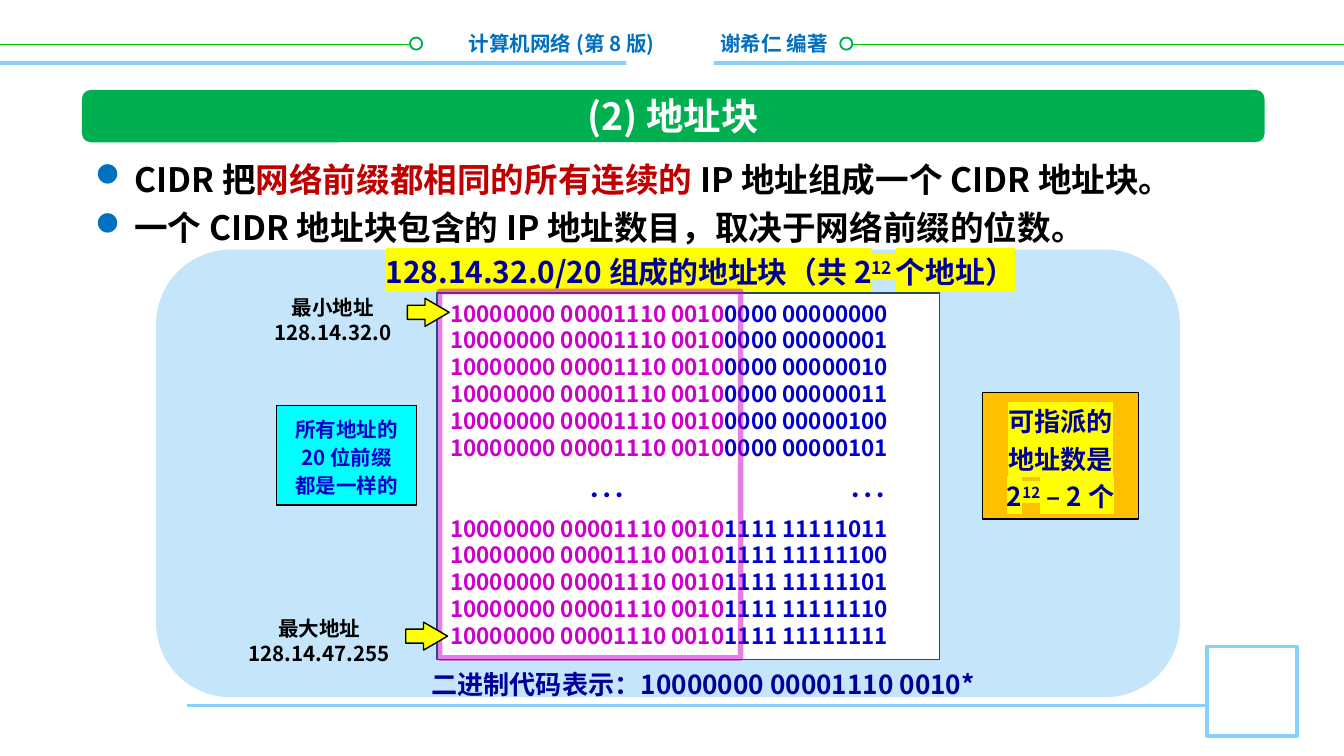
from lxml import etree
from pptx import Presentation
from pptx import util as u
from pptx.dml.color import RGBColor
from pptx.enum import shapes, text
from pptx.oxml import ns

FONT = "Noto Sans CJK SC"
COLORS = {
    "white": "FFFFFF", "black": "000000", "sky": "85D1F7", "lime": "00CC00",
    "green": "00B050", "blue": "0070C0", "red": "C00000", "panel": "C5E5FB",
    "navy": "000099", "host": "0000CC", "prefix": "CC00CC", "border": "1F497D",
    "cyan": "00FFFF", "yellow": "FFFF00", "orange": "FFC000",
}
KINDS = shapes.MSO_SHAPE
LEFT, CENTER, RIGHT = text.PP_ALIGN.LEFT, text.PP_ALIGN.CENTER, text.PP_ALIGN.RIGHT
PREFIX = "10000000 00001110 0010"
FIRST_HOSTS = ["0000 00000000", "0000 00000001", "0000 00000010",
               "0000 00000011", "0000 00000100", "0000 00000101"]
LAST_HOSTS = ["1111 11111011", "1111 11111100", "1111 11111101",
              "1111 11111110", "1111 11111111"]


def rgb(name):
    return RGBColor.from_string(COLORS[name])


def cm(*lengths):
    return [u.Cm(length) for length in lengths]


def inside(box, left, top, width, height):
    """Turn a place relative to box into a place on the slide."""
    return box[0] + left, box[1] + top, width, height


def sub(parent, tag, **attributes):
    return etree.SubElement(parent, ns.qn(tag), attributes)


def add_block(parts, kind, box, fill=None, line=None, width=0.75):
    block = parts.add_shape(kind, *cm(*box))
    block.shadow.inherit = False
    if fill:
        block.fill.solid()
        block.fill.fore_color.rgb = rgb(fill)
    else:
        block.fill.background()
    if line:
        block.line.color.rgb = rgb(line)
        block.line.width = u.Pt(width)
    else:
        block.line.fill.background()
    return block


def add_rule(parts, start, end, y, color, width):
    rule = parts.add_connector(shapes.MSO_CONNECTOR.STRAIGHT, *cm(start, y, end, y))
    rule.line.color.rgb = rgb(color)
    rule.line.width = u.Pt(width)
    sub(rule._element.spPr, "a:effectLst")


def add_run(paragraph, words, size, color, bold=True, highlight=None, raised=False):
    run = paragraph.add_run()
    run.text = words
    run.font.size = u.Pt(size)
    run.font.bold = bold
    run.font.color.rgb = rgb(color)
    run.font.name = FONT
    props = run._r.get_or_add_rPr()
    sub(props, "a:ea", typeface=FONT)
    if raised:
        props.set("baseline", "30000")
    if highlight:
        marker = etree.Element(ns.qn("a:highlight"))
        sub(marker, "a:srgbClr", val=COLORS[highlight])
        props.find(ns.qn("a:solidFill")).addnext(marker)


def write(shape, paragraphs, size, align=LEFT, pitch=None, wrap=True,
          anchor=text.MSO_ANCHOR.TOP, **style):
    """Fill shape with paragraphs, each a list of (words, color, extra style)."""
    frame = shape.text_frame
    frame.word_wrap = wrap
    frame.vertical_anchor = anchor
    for index, runs in enumerate(paragraphs):
        paragraph = frame.paragraphs[0] if index == 0 else frame.add_paragraph()
        paragraph.alignment = align
        if pitch:
            paragraph.line_spacing = u.Pt(pitch)
        for words, color, *extra in runs:
            add_run(paragraph, words, size, color, **style, **(extra[0] if extra else {}))
    return frame


def add_words(parts, box, paragraphs, size, **layout):
    return write(parts.add_textbox(*cm(*box)), paragraphs, size, **layout)


def add_footer(parts, box):
    left, top, width, height = box
    add_rule(parts, left, left + width - height, top + 1.12, "sky", 1.5)
    add_block(parts, KINDS.RECTANGLE, (left + width - height, top, height, height),
              "white", "sky", 2)


def add_header(parts, box):
    left, top, width, _ = box
    add_rule(parts, left, left + width, top + 1.19, "sky", 2)
    add_block(parts, KINDS.RECTANGLE, inside(box, 11.84, 0.36, 1.65, 1.3), "white")
    credits = [(13.36, 2.95, "谢希仁 编著", LEFT),
               (7.87, 4.75, "计算机网络 (第 8 版)", RIGHT)]
    for x, room, words, align in credits:
        add_words(parts, inside(box, x, 0.46, room, 0.74), [[(words, "blue")]], 11,
                  align=align, pitch=13.4)
    for start, end, ring in [(0, 7.87, 7.75), (15.88, width, 15.88)]:
        add_rule(parts, left + start, left + end, top + 0.84, "lime", 1)
        add_block(parts, KINDS.OVAL, inside(box, ring, 0.71, 0.23, 0.23),
                  "white", "green", 1)


def add_title(parts, box):
    add_block(parts, KINDS.ROUNDED_RECTANGLE, box, "green")
    add_words(parts, inside(box, 8.17, -0.07, 6, 1.12), [[("(2) 地址块", "white")]],
              20, align=CENTER, pitch=24, anchor=text.MSO_ANCHOR.MIDDLE)


def add_bullets(parts, box):
    points = [
        [("CIDR 把", "black"), ("网络前缀都相同的所有连续的 ", "red"),
         ("IP 地址组成一个 CIDR 地址块。", "black")],
        [("一个 CIDR 地址块包含的 IP 地址数目，取决于网络前缀的位数。", "black")],
    ]
    frame = add_words(parts, box, points, 18, pitch=26)
    indent = u.Cm(0.74)
    for paragraph in frame.paragraphs:
        props = paragraph._p.get_or_add_pPr()
        props.set("marL", str(indent))
        props.set("indent", str(-indent))
        sub(sub(props, "a:buClr"), "a:srgbClr", val=COLORS["blue"])
        # In this symbol font the letter l is a round dot.
        sub(props, "a:buFont", typeface="Wingdings", charset="2")
        sub(props, "a:buChar", char="l")


def add_address_list(parts, box):
    rows = [[(PREFIX, "prefix"), (host, "host")] for host in FIRST_HOSTS + LAST_HOSTS]
    pitch = 14.4
    block = add_block(parts, KINDS.RECTANGLE, box, "white", "border")
    frame = write(block, rows, 12, pitch=pitch)
    frame.paragraphs[len(FIRST_HOSTS)].space_before = u.Pt(2 * pitch)
    for x in (7.54, 2.61):
        add_words(parts, inside(box, x, 3.27, 1.22, 1.12), [[("…", "host")]], 20,
                  wrap=False, bold=False, pitch=24)
    outline = add_block(parts, KINDS.RECTANGLE, inside(box, 0.05, -0.03, 5.69, 6.93),
                        line="prefix", width=3)
    tint = outline._element.spPr.find(".//" + ns.qn("a:ln")).find(".//" + ns.qn("a:srgbClr"))
    sub(tint, "a:alpha", val="50000")


def add_pointer(parts, box, lines, arrow_left, arrow_top):
    """Label with an arrow that points at one row of the address list."""
    group = parts.add_group_shape().shapes
    add_words(group, box, [[(line, "black")] for line in lines], 11,
              align=CENTER, pitch=13.4)
    arrow = add_block(group, KINDS.RIGHT_ARROW,
                      inside(box, arrow_left, arrow_top, 0.79, 0.53), "yellow", "black")
    arrow.adjustments[1] = 0.86


def add_address_panel(parts, box):
    middle = text.MSO_ANCHOR.MIDDLE
    raised = {"raised": True}
    add_block(parts, KINDS.ROUNDED_RECTANGLE, box, "panel")
    add_words(parts, inside(box, 3.32, -0.12, 13.94, 0.97),
              [[("128.14.32.0/20 组成的地址块（共 2", "navy"), ("12 ", "navy", raised),
                ("个地址）", "navy")]],
              16, align=CENTER, pitch=21, highlight="yellow")
    add_address_list(parts, inside(box, 5.31, 0.82, 9.5, 6.93))

    shared = add_block(parts, KINDS.RECTANGLE, inside(box, 2.28, 2.95, 2.64, 1.88),
                       "cyan", "black")
    write(shared, [[("所有地址的 20 位前缀", "host")], [("都是一样的", "host")]], 11,
          align=CENTER, pitch=15, anchor=middle)
    add_pointer(parts, inside(box, 1.65, 0.72, 3.38, 1.19),
                ["最小地址", "128.14.32.0"], 3.1, 0.2)
    add_pointer(parts, inside(box, 1.09, 6.79, 3.99, 1.19),
                ["最大地址", "128.14.47.255"], 3.63, 0.25)

    usable = add_block(parts, KINDS.RECTANGLE, inside(box, 15.62, 2.7, 2.95, 2.39),
                       "orange", "black")
    write(usable, [[("可指派的地址数是2", "navy"), ("12", "navy", raised),
                    (" – 2 个", "navy")]],
          14, align=CENTER, pitch=20, anchor=middle, highlight="yellow")
    add_words(parts, inside(box, 4.37, 7.73, 11.94, 0.91),
              [[("二进制代码表示：10000000 00001110 0010*", "navy")]],
              14, align=CENTER, pitch=18.5)


def main():
    deck = Presentation()
    deck.slide_width, deck.slide_height = cm(25.4, 14.29)
    parts = deck.slides.add_slide(deck.slide_layouts[6]).shapes
    add_footer(parts, (3.53, 12.22, 20.98, 1.7))
    add_header(parts, (0, 0, 25.4, 1.66))
    add_title(parts, (1.55, 1.7, 22.35, 0.99))
    add_bullets(parts, (1.55, 2.72, 23.04, 2.16))
    add_address_panel(parts, (2.95, 4.72, 19.35, 8.46))
    deck.save("out.pptx")


if __name__ == "__main__":
    main()
